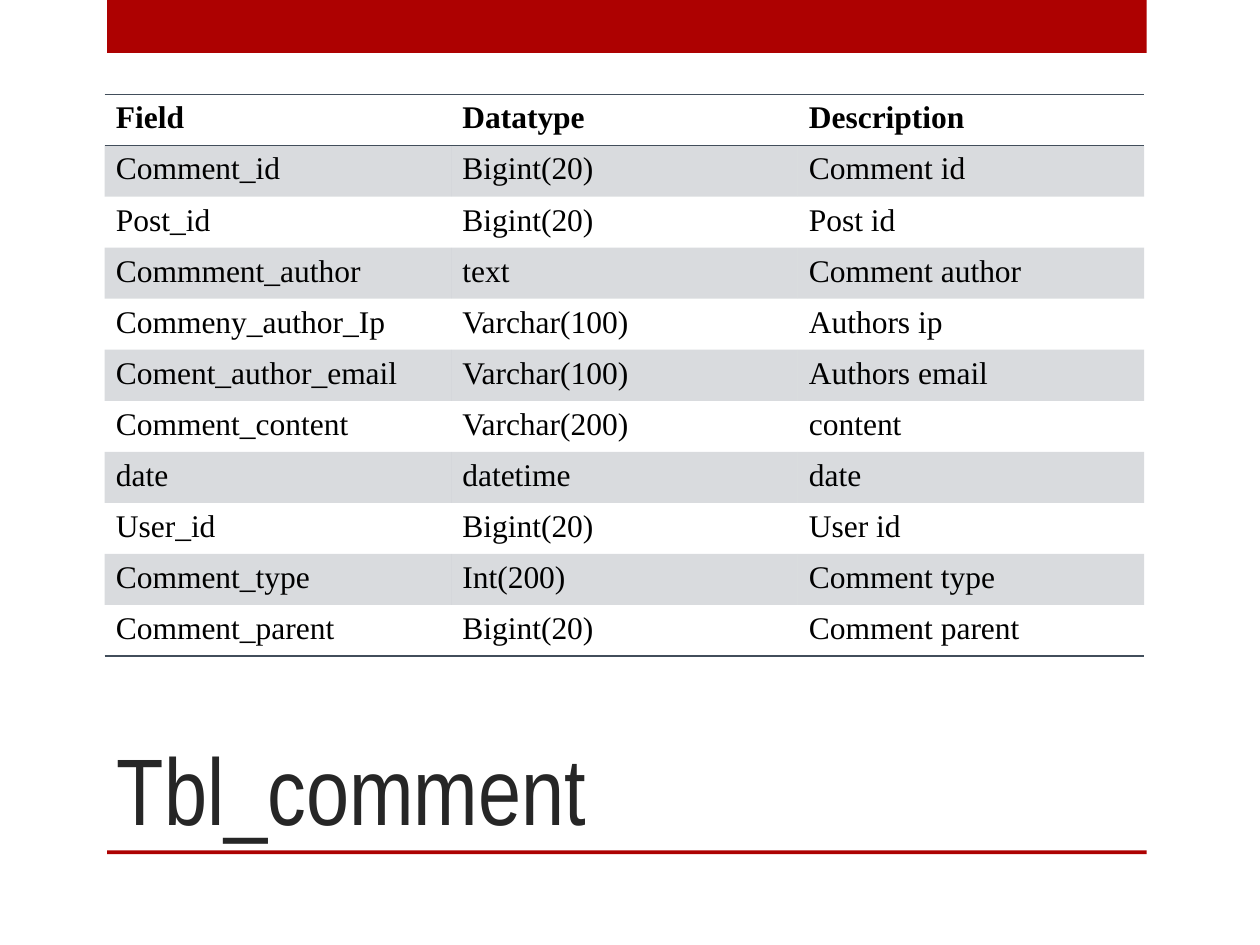
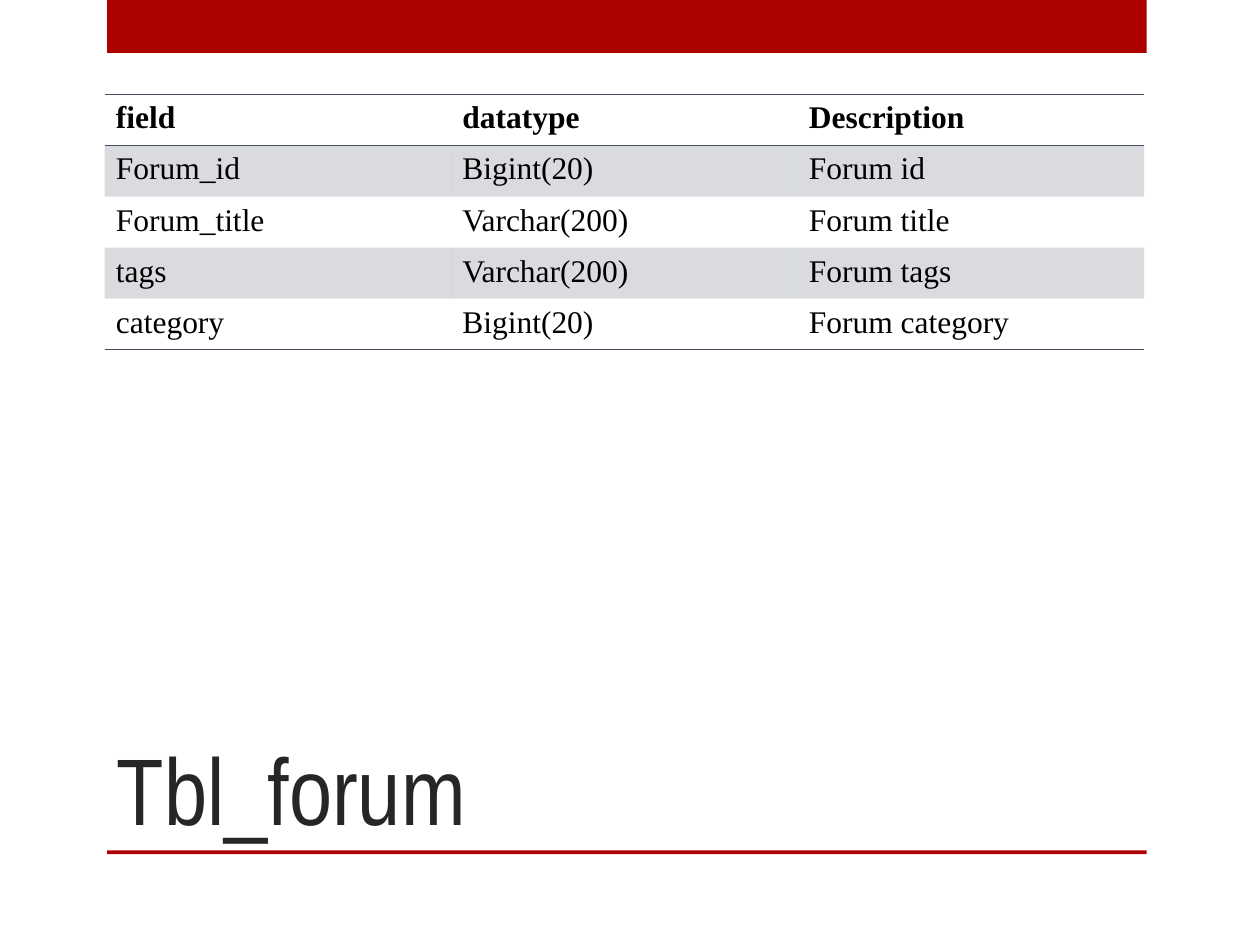
from dataclasses import dataclass

from lxml import etree
from pptx import Presentation, util as u
from pptx.dml.color import RGBColor
from pptx.enum import shapes, text
from pptx.oxml import ns


@dataclass(frozen=True)
class Theme:
    accent: str = "AD0101"
    title_ink: str = "262626"
    cell_ink: str = "000000"
    slate: str = "424E5B"
    band_alpha: int = 20
    title_font: str = "Arial Narrow"
    table_font: str = "Times New Roman"
    title_size: int = 54
    table_size: int = 18
    rule_width: int = 1


NO_STYLE_NO_GRID = "{2D5ABB26-0587-4C30-8999-92F81FD0307C}"
CONTENT_LEFT = u.Inches(0.83)
BAND_LEFT = u.Inches(0.85)
CONTENT_WIDTH = u.Inches(8.25)
ROW_HEIGHT = u.Inches(4.46) // 11
CELL_FORMAT = {
    "margin_left": u.Inches(0.09),
    "margin_right": u.Inches(0.09),
    "margin_top": u.Inches(0.05),
    "margin_bottom": u.Inches(0.05),
}


def apply(target, values):
    for name, value in values.items():
        setattr(target, name, value)


class SchemaDeck:
    def __init__(self, theme):
        self.theme = theme
        self.deck = Presentation()
        apply(self.deck, {"slide_width": u.Inches(10), "slide_height": u.Inches(7.5)})
        self.slide = None

    def new_slide(self):
        self.slide = self.deck.slides.add_slide(self.deck.slide_layouts[6])
        self.band(top=0, height=0.42)
        self.band(top=6.75, height=0.03)

    def band(self, top, height):
        band = self.slide.shapes.add_shape(
            shapes.MSO_SHAPE.RECTANGLE, BAND_LEFT, u.Inches(top),
            CONTENT_WIDTH, u.Inches(height))
        band.shadow.inherit = False
        band.fill.solid()
        band.fill.fore_color.rgb = RGBColor.from_string(self.theme.accent)
        band.line.fill.background()

    def add_words(self, frame, words, font, size, ink, bold=False):
        run = frame.paragraphs[0].add_run()
        run.text = words
        apply(run.font, {"name": font, "size": u.Pt(size), "bold": bold})
        run.font.color.rgb = RGBColor.from_string(ink)

    def title(self, words):
        frame = self.slide.shapes.add_textbox(
            CONTENT_LEFT, u.Inches(5), u.Inches(7.42), u.Inches(1.75)).text_frame
        apply(frame, {"word_wrap": True, "vertical_anchor": text.MSO_ANCHOR.BOTTOM})
        self.add_words(frame, words, self.theme.title_font, self.theme.title_size,
                       self.theme.title_ink)

    def field_table(self, rows):
        columns = len(rows[0])
        table = self.slide.shapes.add_table(
            len(rows), columns, CONTENT_LEFT, u.Inches(0.75),
            CONTENT_WIDTH, ROW_HEIGHT * len(rows)).table
        table._tbl.tblPr.find(ns.qn("a:tableStyleId")).text = NO_STYLE_NO_GRID
        for r, row in enumerate(rows):
            is_header, is_last = r == 0, r == len(rows) - 1
            edges = ["lnT", "lnB"] if is_header else ["lnB"] if is_last else []
            for c, words in enumerate(row):
                cell = table.cell(r, c)
                apply(cell, CELL_FORMAT)
                self.add_words(cell.text_frame, words, self.theme.table_font,
                               self.theme.table_size, self.theme.cell_ink, is_header)
                self.cell_fill(cell, banded=r % 2 == 1)
                self.cell_rules(cell, edges)

    def cell_fill(self, cell, banded):
        if not banded:
            cell.fill.background()
            return
        cell.fill.solid()
        cell.fill.fore_color.rgb = RGBColor.from_string(self.theme.slate)
        color = cell._tc.tcPr.find(".//" + ns.qn("a:srgbClr"))
        etree.SubElement(color, ns.qn("a:alpha"), val=str(self.theme.band_alpha * 1000))

    def cell_rules(self, cell, edges):
        # Borders must precede the fill in the cell properties
        for position, edge in enumerate(edges):
            rule = etree.Element(ns.qn(f"a:{edge}"), w=str(int(u.Pt(self.theme.rule_width))))
            fill = etree.SubElement(rule, ns.qn("a:solidFill"))
            etree.SubElement(fill, ns.qn("a:srgbClr"), val=self.theme.slate)
            cell._tc.tcPr.insert(position, rule)


# Content: slide title and its field rows
SCHEMA = {
    "Tbl_comment": [
        ("Field", "Datatype", "Description"),
        ("Comment_id", "Bigint(20)", "Comment id"),
        ("Post_id", "Bigint(20)", "Post id"),
        ("Commment_author", "text", "Comment author"),
        ("Commeny_author_Ip", "Varchar(100)", "Authors ip"),
        ("Coment_author_email", "Varchar(100)", "Authors email"),
        ("Comment_content", "Varchar(200)", "content"),
        ("date", "datetime", "date"),
        ("User_id", "Bigint(20)", "User id"),
        ("Comment_type", "Int(200)", "Comment type"),
        ("Comment_parent", "Bigint(20)", "Comment parent"),
    ],
    "Tbl_forum": [
        ("field", "datatype", "Description"),
        ("Forum_id", "Bigint(20)", "Forum id"),
        ("Forum_title", "Varchar(200)", "Forum title"),
        ("tags", "Varchar(200)", "Forum tags"),
        ("category", "Bigint(20)", "Forum category"),
    ],
}


def main():
    schema_deck = SchemaDeck(Theme())
    for table_name, fields in SCHEMA.items():
        schema_deck.new_slide()
        schema_deck.title(table_name)
        schema_deck.field_table(fields)
    schema_deck.deck.save("out.pptx")


if __name__ == "__main__":
    main()
